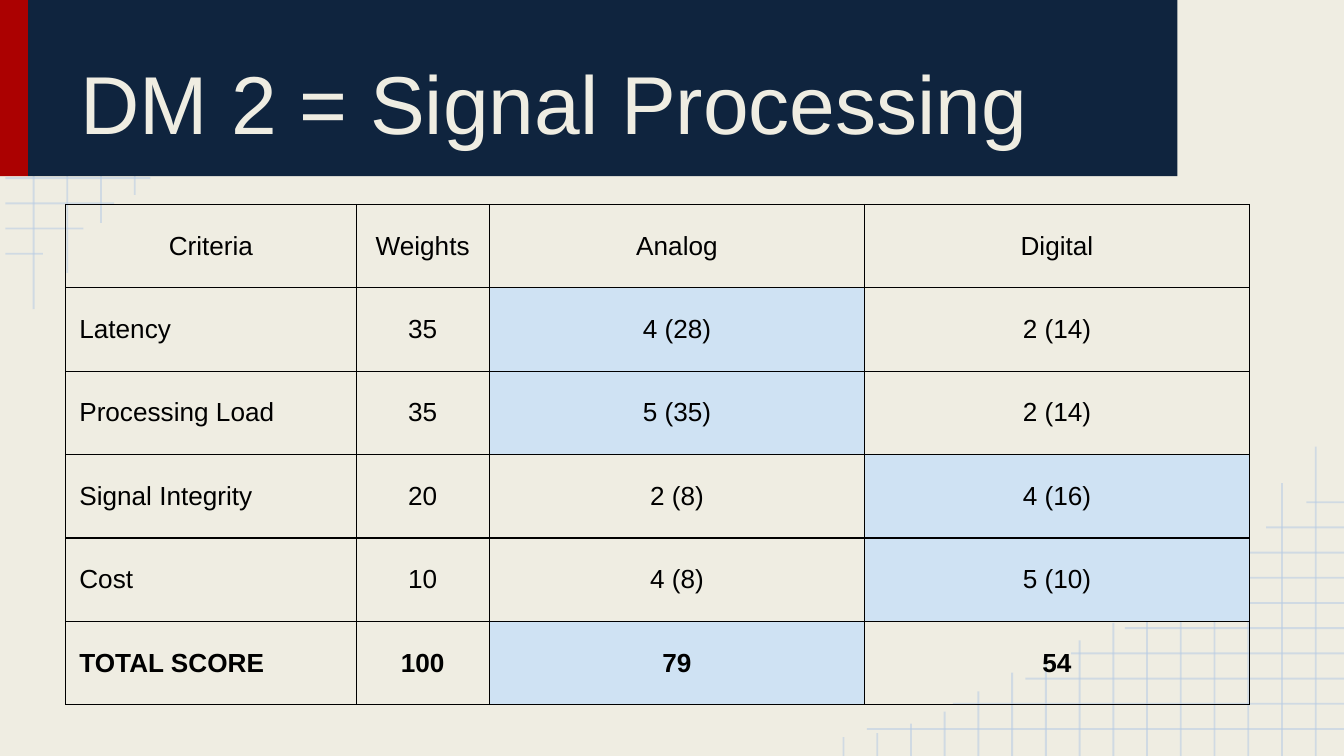
"""Build the signal processing decision matrix slide."""
from typing import Any, NamedTuple

from lxml.etree import SubElement
from pptx import Presentation
from pptx.dml.color import RGBColor
from pptx.enum.shapes import MSO_CONNECTOR, MSO_SHAPE
from pptx.enum.text import MSO_ANCHOR, MSO_AUTO_SIZE, PP_ALIGN
from pptx.oxml.ns import qn
from pptx.util import Inches, Pt

COLS, ROWS = 40, 30
WIDTH, HEIGHT = Inches(10), Inches(5.625)
CREAM, NAVY, RED = "EFEDE2", "0F243E", "AB0101"
GRID, PALE, BLACK = "B7CCE4", "CFE2F3", "000000"


class Box(NamedTuple):
    """A rectangle in grid columns and rows."""
    x: float
    y: float
    w: float
    h: float


class Band(NamedTuple):
    """A filled header rectangle."""
    box: Box
    fill: str


class Segment(NamedTuple):
    """A straight line in grid columns and rows."""
    x1: float
    y1: float
    x2: float
    y2: float


class Row(NamedTuple):
    """One table row, the column it highlights and its weight."""
    texts: tuple[str, ...]
    best: int | None = None
    bold: bool = False


BANDS = (Band(Box(0, -0.05, 0.84, 7.04), RED), Band(Box(0.84, -0.05, 34.2, 7.04), NAVY))
TITLE_BOX = Box(2, 0.59, 32, 5.92)
TABLE_BOX = Box(1.96, 8.11, 35.22, 19.86)
COL_WIDTHS = (8.64, 3.96, 11.18, 11.44)
LINE_ENDS_X = (14.36, 11.8, 9.64, 8.28, 6.68, 5.48, 4.48, 3.4, 2.48, 1.28)
LINE_ENDS_Y = (12.27, 10.83, 8.85, 7.73, 6.88, 6.19, 5.28, 4.59,
               3.84, 3.31, 2.56, 1.76, 1.28, 0.91, 0.75)
TABLE_ROWS = (
    Row(("Criteria", "Weights", "Analog", "Digital")),
    Row(("Latency", "35", "4 (28)", "2 (14)"), 2),
    Row(("Processing Load", "35", "5 (35)", "2 (14)"), 2),
    Row(("Signal Integrity", "20", "2 (8)", "4 (16)"), 3),
    Row(("Cost", "10", "4 (8)", "5 (10)"), 3),
    Row(("TOTAL SCORE", "100", "79", "54"), 2, True),
)


def col(n: float) -> int:
    """Turn grid columns into a length."""
    return round(WIDTH * n / COLS)


def row(n: float) -> int:
    """Turn grid rows into a length."""
    return round(HEIGHT * n / ROWS)


def place(box: Box) -> tuple[int, int, int, int]:
    """Turn a grid box into left, top, width and height."""
    return col(box.x), row(box.y), col(box.w), row(box.h)


def rgb(color: str) -> RGBColor:
    """Turn a hex string into a colour."""
    return RGBColor.from_string(color)


def apply(obj: Any, **values: Any) -> None:
    """Set several attributes of an object."""
    for name, value in values.items():
        setattr(obj, name, value)


def write(tf: Any, text: str, size: int, color: str, align: PP_ALIGN, bold: bool = False) -> None:
    """Write one formatted paragraph into a text frame."""
    p = tf.paragraphs[0]
    p.alignment = align
    r = p.add_run()
    r.text = text
    apply(r.font, name="Arial", size=Pt(size), bold=bold)
    r.font.color.rgb = rgb(color)


def draw_segment(s: Any, seg: Segment) -> None:
    """Draw one translucent grid line."""
    ln = s.shapes.add_connector(MSO_CONNECTOR.STRAIGHT, col(seg.x1), row(seg.y1),
                                col(seg.x2), row(seg.y2))
    ln.line.width = Pt(1)
    ln.line.color.rgb = rgb(GRID)
    props = ln._element.spPr
    SubElement(next(props.iter(qn("a:srgbClr"))), qn("a:alpha"), val="54000")
    SubElement(props, qn("a:effectLst"))


def draw_grids(s: Any) -> None:
    """Draw the corner grid and its half-turn at the opposite corner."""
    segs = [Segment(0.16, 1.07 + i, end, 1.07 + i) for i, end in enumerate(LINE_ENDS_X)]
    segs += [Segment(1 + 1.004 * i, end, 1 + 1.004 * i, 0) for i, end in enumerate(LINE_ENDS_Y)]
    turned = [Segment(COLS + 0.16 - g.x1, ROWS - g.y1, COLS + 0.16 - g.x2, ROWS - g.y2)
              for g in segs]
    for seg in segs + turned:
        draw_segment(s, seg)


def draw_band(s: Any, band: Band) -> None:
    """Draw one header band."""
    sp = s.shapes.add_shape(MSO_SHAPE.RECTANGLE, *place(band.box))
    sp.shadow.inherit = False
    sp.fill.solid()
    sp.fill.fore_color.rgb = rgb(band.fill)
    sp.line.fill.background()


def draw_title(s: Any, text: str) -> None:
    """Place the title placeholder above the bands and fill it."""
    sp = s.shapes.title
    s.shapes._spTree.append(sp._element)
    apply(sp, **dict(zip(("left", "top", "width", "height"), place(TITLE_BOX))))
    tf = sp.text_frame
    margins = dict.fromkeys(("margin_left", "margin_top", "margin_right", "margin_bottom"),
                            Inches(0.1))
    apply(tf, word_wrap=True, auto_size=MSO_AUTO_SIZE.NONE,
          vertical_anchor=MSO_ANCHOR.BOTTOM, **margins)
    write(tf, text, 44, CREAM, PP_ALIGN.LEFT)


def add_borders(cell: Any) -> None:
    """Outline a table cell on all four sides."""
    props = cell._tc.get_or_add_tcPr()
    for i, side in enumerate(("lnL", "lnR", "lnT", "lnB")):
        ln = SubElement(props, qn(f"a:{side}"), w=str(Pt(0.75)))
        SubElement(SubElement(ln, qn("a:solidFill")), qn("a:srgbClr"), val=BLACK)
        props.insert(i, ln)


def draw_table(s: Any) -> None:
    """Draw the weighted decision matrix."""
    table = s.shapes.add_table(len(TABLE_ROWS), len(COL_WIDTHS), *place(TABLE_BOX)).table
    apply(table, first_row=False, horz_banding=False)
    for column, width in zip(table.columns, COL_WIDTHS):
        column.width = col(width)
    margins = dict.fromkeys(("margin_left", "margin_top", "margin_right", "margin_bottom"),
                            Inches(0.1))
    for i, line in enumerate(TABLE_ROWS):
        for j, text in enumerate(line.texts):
            cell = table.cell(i, j)
            apply(cell, vertical_anchor=MSO_ANCHOR.MIDDLE, **margins)
            if j == line.best:
                cell.fill.solid()
                cell.fill.fore_color.rgb = rgb(PALE)
            else:
                cell.fill.background()
            add_borders(cell)
            align = PP_ALIGN.LEFT if i and not j else PP_ALIGN.CENTER
            write(cell.text_frame, text, 14, BLACK, align, line.bold)


def main() -> None:
    """Build and save the slide."""
    prs = Presentation()
    apply(prs, slide_width=WIDTH, slide_height=HEIGHT)
    s = prs.slides.add_slide(prs.slide_layouts.get_by_name("Title Only"))
    s.background.fill.solid()
    s.background.fill.fore_color.rgb = rgb(CREAM)
    draw_grids(s)
    for band in BANDS:
        draw_band(s, band)
    draw_title(s, "DM 2 = Signal Processing")
    draw_table(s)
    prs.save("out.pptx")


if __name__ == "__main__":
    main()
